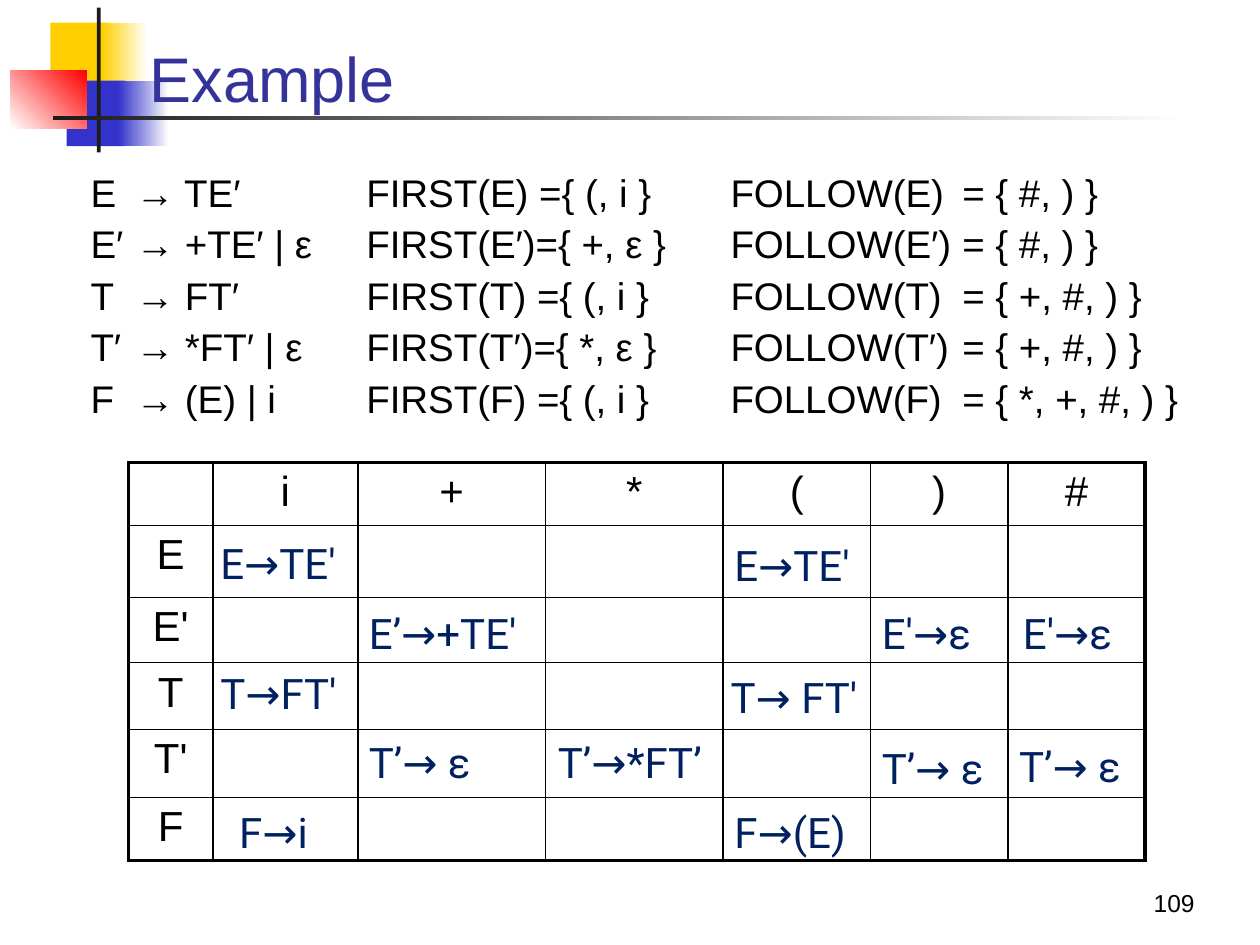
from lxml import etree
from pptx import Presentation
from pptx import util as u
from pptx.dml.color import RGBColor
from pptx.enum import shapes, text
from pptx.oxml.ns import qn

BLACK = RGBColor(0x00, 0x00, 0x00)
WHITE = RGBColor(0xFF, 0xFF, 0xFF)
CHARCOAL = RGBColor(0x1C, 0x1C, 0x1C)
YELLOW = RGBColor(0xFF, 0xCF, 0x01)
BLUE = RGBColor(0x33, 0x33, 0xCC)
RED = RGBColor(0xFF, 0x00, 0x00)
INDIGO = RGBColor(0x33, 0x33, 0x99)
NAVY = RGBColor(0x00, 0x20, 0x60)

GRID_COLS, GRID_ROWS = 100, 75
CELL = u.Inches(10) // GRID_COLS

TITLE = dict(size=u.Pt(36), name="Arial", color=INDIGO)
BODY = dict(size=u.Pt(22), name="Arial", color=BLACK)
HEAD = dict(size=u.Pt(24), name="Arial", color=BLACK)
ENTRY = dict(size=u.Pt(24), name="Roboto", color=NAVY)
NUMBER = dict(size=u.Pt(14), name="Arial", color=BLACK)

GRAMMAR = ["E\t→ TE′", "E′\t→ +TE′ | ε", "T\t→ FT′", "T′\t→ *FT′ | ε",
           "F\t→ (E) | i"]
FIRST = ["FIRST(E) ={ (, i }", "FIRST(E′)={ +, ε }", "FIRST(T) ={ (, i }",
         "FIRST(T′)={ *, ε }", "FIRST(F) ={ (, i }"]
FOLLOW = ["FOLLOW(E)\t= { #, ) }", "FOLLOW(E′)\t= { #, ) }",
          "FOLLOW(T)\t= { +, #, ) }", "FOLLOW(T′)\t= { +, #, ) }",
          "FOLLOW(F)\t= { *, +, #, ) }"]

TERMINALS = ["i", "+", "*", "(", ")", "#"]
NONTERMINALS = ["E", "E'", "T", "T'", "F"]
COL_WIDTHS = [6.7, 11.5, 14.9, 14.1, 11.7, 10.9, 10.9]
ROW_HEIGHTS = [4.9, 5.7, 5.2, 5.3, 5.4, 5.0]

# row, column, text, offset from the cell corner, width
ENTRIES = [
    ("E", "i", "E→TE'", -0.4, 0.6, 12), ("E", "(", "E→TE'", -0.1, 0.7, 12.6),
    ("E'", "+", "E’→+TE'", -0.1, 0.4, 16.7),
    ("E'", ")", "E'→ε", -0.1, 0.4, 10.2), ("E'", "#", "E'→ε", 0.2, 0.4, 9.8),
    ("T", "i", "T→FT'", -0.4, 0, 12.7), ("T", "(", "T→ FT'", -0.4, 0.3, 13.4),
    ("T'", "+", "T’→ ε", -0.1, 0.2, 13.3),
    ("T'", "*", "T’→*FT’", 0, 0.2, 14.3),
    ("T'", ")", "T’→ ε", -0.1, 0.6, 11), ("T'", "#", "T’→ ε", -0.1, 0.5, 11.5),
    ("F", "i", "F→i", 1.1, 0.3, 8.1), ("F", "(", "F→(E)", -0.1, 0.3, 11.8),
]


def grid(*lengths):
    return [u.Emu(round(n * CELL)) for n in lengths]


def style(p, fmt):
    for key, value in fmt.items():
        if key == "color":
            p.font.color.rgb = value
        else:
            setattr(p.font, key, value)


def add_text(s, box, lines, fmt, tab=None, **para):
    tf = s.shapes.add_textbox(*grid(*box)).text_frame
    tf.word_wrap = True
    for i, line in enumerate(lines):
        p = tf.paragraphs[0] if i == 0 else tf.add_paragraph()
        p.text = line
        if i:
            p.space_before = u.Pt(3)
        for key, value in para.items():
            setattr(p, key, value)
        if tab:
            tabs = etree.SubElement(p._p.get_or_add_pPr(), qn("a:tabLst"))
            etree.SubElement(tabs, qn("a:tab"), pos=str(grid(tab)[0]), algn="l")
        style(p, fmt)
    return tf


def add_ornament(s, box):
    x, y = box
    bars = [
        (3.2, 1.2, 4.8, 5.2, YELLOW, None, 0),
        (7.3, 1.2, 3.6, 5.2, YELLOW, WHITE, 0),
        (4.5, 5.8, 4.6, 5.2, BLUE, None, 0),
        (8.6, 5.8, 4, 5.2, BLUE, WHITE, 0),
        (0, 5, 6.1, 4.6, WHITE, RED, 45),
        (6.9, 0, 0.3, 11.5, CHARCOAL, None, 0),
        (3.4, 8.6, 90, 0.3, CHARCOAL, WHITE, 0),
    ]
    for dx, dy, w, h, start, end, angle in bars:
        sp = s.shapes.add_shape(shapes.MSO_SHAPE.RECTANGLE,
                                *grid(x + dx, y + dy, w, h))
        sp.shadow.inherit = False
        sp.line.fill.background()
        if end is None:
            sp.fill.solid()
            sp.fill.fore_color.rgb = start
        else:
            sp.fill.gradient()
            sp.fill.gradient_angle = angle
            for stop, color in zip(sp.fill.gradient_stops, (start, end)):
                stop.color.rgb = color


def add_title(s, box, words):
    sp = s.shapes.title
    sp.element.getparent().append(sp.element)
    sp.left, sp.top, sp.width, sp.height = grid(*box)
    tf = sp.text_frame
    tf.text = words
    tf.auto_size = text.MSO_AUTO_SIZE.NONE
    tf.vertical_anchor = text.MSO_ANCHOR.BOTTOM
    p = tf.paragraphs[0]
    p.alignment = text.PP_ALIGN.LEFT
    p.line_spacing = 0.85
    style(p, TITLE)


def add_sets(s, box):
    x, y, h = box
    for dx, w, lines, tab in [(0, 20.5, GRAMMAR, 3.6), (21.9, 27.6, FIRST, None),
                              (50.8, 39.4, FOLLOW, 18.4)]:
        add_text(s, (x + dx, y, w, h), lines, BODY, tab)


def set_borders(cell, outer):
    pr = cell._tc.get_or_add_tcPr()
    for side in "LRTB":
        width = u.Pt(2.25 if side in outer else 1)
        ln = etree.SubElement(pr, qn(f"a:ln{side}"), w=str(width))
        fill = etree.SubElement(ln, qn("a:solidFill"))
        etree.SubElement(fill, qn("a:srgbClr"), val=str(BLACK))


def add_parse_table(s, box):
    x, y = box
    n_rows, n_cols = len(ROW_HEIGHTS), len(COL_WIDTHS)
    frame = s.shapes.add_table(
        n_rows, n_cols, *grid(x, y, sum(COL_WIDTHS), sum(ROW_HEIGHTS)))
    table = frame.table
    table.first_row = table.horz_banding = False
    for col, width in zip(table.columns, COL_WIDTHS):
        col.width = grid(width)[0]
    for row, height in zip(table.rows, ROW_HEIGHTS):
        row.height = grid(height)[0]
    for r in range(n_rows):
        for c in range(n_cols):
            cell = table.cell(r, c)
            edges = {"L": c == 0, "R": c == n_cols - 1,
                     "T": r == 0, "B": r == n_rows - 1}
            set_borders(cell, [side for side, on in edges.items() if on])
            cell.fill.background()
            if (r == 0) != (c == 0):
                p = cell.text_frame.paragraphs[0]
                p.text = TERMINALS[c - 1] if r == 0 else NONTERMINALS[r - 1]
                p.alignment = text.PP_ALIGN.CENTER
                style(p, HEAD)
    for row, col, words, dx, dy, w in ENTRIES:
        left = x + sum(COL_WIDTHS[:TERMINALS.index(col) + 1])
        top = y + sum(ROW_HEIGHTS[:NONTERMINALS.index(row) + 1])
        add_text(s, (left + dx, top + dy, w, 5), [words], ENTRY)


def add_number(s, box, words):
    tf = add_text(s, box, [words], NUMBER, alignment=text.PP_ALIGN.RIGHT)
    tf.vertical_anchor = text.MSO_ANCHOR.BOTTOM


def main():
    prs = Presentation()
    prs.slide_width, prs.slide_height = grid(GRID_COLS, GRID_ROWS)
    s = prs.slides.add_slide(prs.slide_layouts[5])
    add_ornament(s, (0.8, 0.6))
    add_title(s, (10.9, 2.1, 85.2, 7.6), "Example")
    add_number(s, (75, 68.3, 20.8, 5), "109")
    add_parse_table(s, (10.2, 36.7))
    add_sets(s, (6.2, 12.9, 21.2))
    prs.save("out.pptx")


if __name__ == "__main__":
    main()
